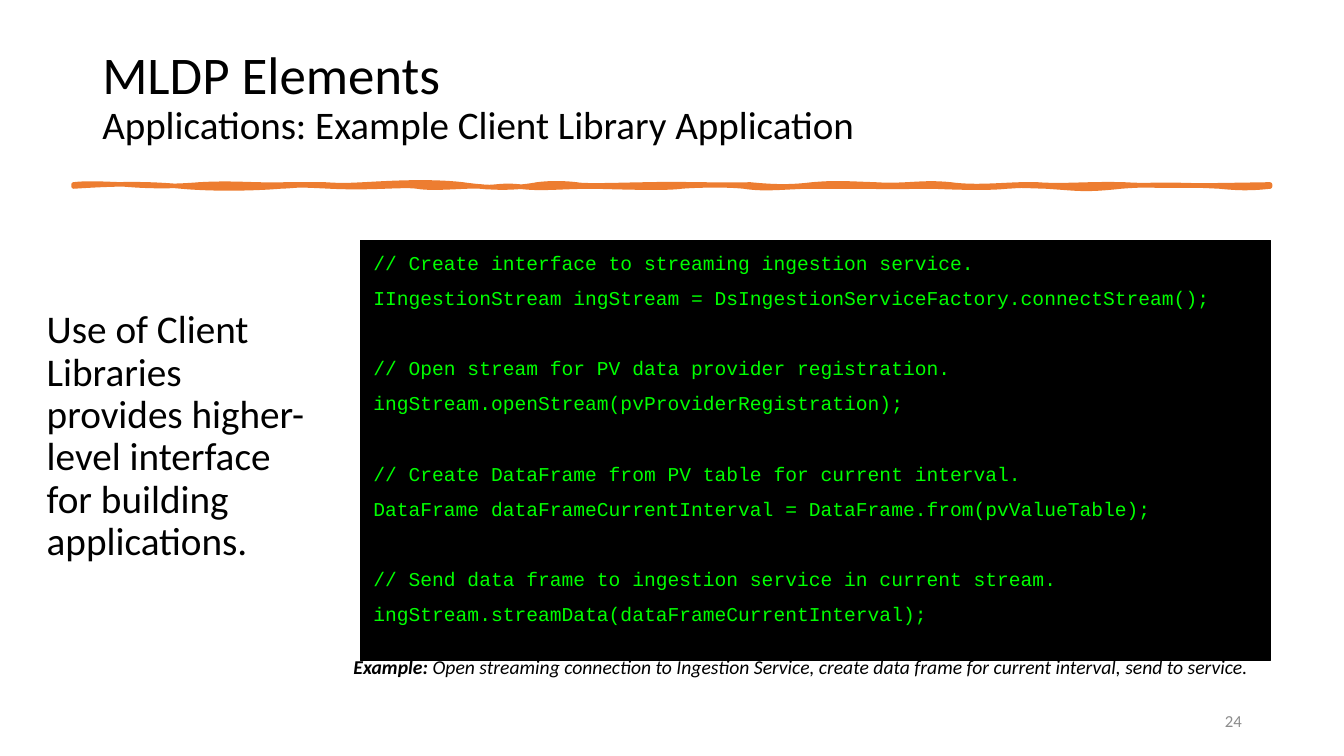
from lxml.etree import SubElement
from pptx import Presentation
from pptx.dml.color import RGBColor
from pptx.enum.shapes import MSO_SHAPE
from pptx.enum.text import MSO_ANCHOR, PP_ALIGN
from pptx.oxml.ns import qn
from pptx.util import Pt

BLACK = RGBColor(0x00, 0x00, 0x00)
GREEN = RGBColor(0x00, 0xFF, 0x00)
ORANGE = RGBColor(0xED, 0x7D, 0x31)
GREY = RGBColor(0x8C, 0x8C, 0x8C)

TITLE = ("MLDP Elements", 37.8)
SUBTITLE = ("Applications: Example Client Library Application", 27.9)
SUMMARY = "Use of Client Libraries provides higher-level interface for building applications."
CODE = [
    ("// Create interface to streaming ingestion service.",
     "IIngestionStream ingStream = DsIngestionServiceFactory.connectStream();"),
    ("// Open stream for PV data provider registration.",
     "ingStream.openStream(pvProviderRegistration);"),
    ("// Create DataFrame from PV table for current interval.",
     "DataFrame dataFrameCurrentInterval = DataFrame.from(pvValueTable);"),
    ("// Send data frame to ingestion service in current stream.",
     "ingStream.streamData(dataFrameCurrentInterval);"),
]
CAPTION = ("Example:", " Open streaming connection to Ingestion Service, "
           "create data frame for current interval, send to service.")
PAGE = "24"

# Brush stroke edges in units of 0.72 pt: control x, y, control x, y, end x.
UNIT = 0.72
LEFT, RIGHT, TOP, BOTTOM = 73, 1260, 183, 185
TOP_EDGE = [
    (89, 181, 111, 183, 124), (136, 184, 162, 186, 198), (234, 181, 251, 184, 284),
    (317, 183, 307, 183, 322), (338, 184, 342, 184, 361), (380, 182, 424, 179, 459),
    (494, 188, 517, 186, 533), (549, 181, 563, 182, 572), (581, 185, 625, 183, 646),
    (667, 182, 723, 184, 744), (765, 185, 782, 186, 806), (830, 181, 838, 182, 868),
    (899, 185, 914, 180, 943), (972, 187, 1002, 182, 1029), (1055, 185, 1078, 182, 1115),
    (1151, 185, 1199, 184, RIGHT),
]
BOTTOM_EDGE = [
    (1242, 187, 1230, 187, 1210), (1190, 184, 1149, 182, 1112), (1075, 189, 1070, 187, 1038),
    (1005, 184, 1018, 184, 999), (980, 187, 948, 186, 925), (902, 185, 884, 186, 863),
    (841, 185, 828, 185, 800), (773, 186, 757, 188, 738), (719, 183, 688, 184, 676),
    (663, 187, 624, 186, 590), (555, 185, 537, 188, 515), (494, 183, 491, 187, 477),
    (463, 184, 430, 188, 414), (399, 183, 371, 187, 328), (286, 183, 303, 184, 278),
    (253, 187, 213, 188, 180), (147, 182, 118, 182, LEFT),
]
INSET = 9.5
CODE_GAP, CODE_LINE = 10, 15


def add_brush_stroke(s):
    """Build the outline from its end points, then bend each side into a curve."""
    corner = (RIGHT, TOP, RIGHT, BOTTOM, RIGHT)
    curves = [(c, TOP) for c in TOP_EDGE] + [(c, BOTTOM) for c in [corner] + BOTTOM_EDGE]
    builder = s.shapes.build_freeform(LEFT, TOP, scale=Pt(UNIT))
    builder.add_line_segments([(c[4], y) for c, y in curves], close=True)
    stroke = builder.convert_to_shape()
    sides = list(stroke.element.iter(qn("a:lnTo")))
    for side, ((x1, y1, x2, y2, end), y) in zip(sides, curves):
        side.tag = qn("a:cubicBezTo")
        for old in list(side):
            side.remove(old)
        for px, py in ((x1, y1), (x2, y2), (end, y)):
            SubElement(side, qn("a:pt"), x=str(px - LEFT), y=str(py - TOP))
    return stroke


def set_frame(shape, inset, anchor=MSO_ANCHOR.TOP):
    tf = shape.text_frame
    tf.word_wrap = True
    tf.vertical_anchor = anchor
    tf.margin_left, tf.margin_top, tf.margin_right, tf.margin_bottom = map(Pt, inset)
    return tf


def add_text(s, box, inset=(INSET,) * 4, anchor=MSO_ANCHOR.TOP):
    return set_frame(s.shapes.add_textbox(*map(Pt, box)), inset, anchor)


def add_run(p, text, size, color=BLACK, font="Calibri", bold=None, italic=None):
    r = p.add_run()
    r.text = text
    r.font.size, r.font.name = Pt(size), font
    r.font.bold, r.font.italic = bold, italic
    r.font.color.rgb = color


def paint(shape, color, width):
    shape.shadow.inherit = False
    shape.fill.solid()
    shape.fill.fore_color.rgb = color
    shape.line.color.rgb = color
    shape.line.width = Pt(width)


def next_paragraph(tf, first=True, spacing=0.9, align=PP_ALIGN.LEFT):
    p = tf.paragraphs[0] if first else tf.add_paragraph()
    p.line_spacing, p.alignment = spacing, align
    return p


prs = Presentation()
prs.slide_width, prs.slide_height = Pt(960), Pt(540)
s = prs.slides.add_slide(prs.slide_layouts[6])

tf = add_text(s, (66, 28.8, 828, 104.4), (7.2, 6.2, 7.2, 3.6))
p = next_paragraph(tf)
add_run(p, *TITLE)
p.add_line_break()
add_run(p, *SUBTITLE)

paint(add_brush_stroke(s), ORANGE, 3.25)

tf = add_text(s, (678.2, 500.4, 216, 28.8), (7.2, 3.6, 7.2, 3.6), MSO_ANCHOR.MIDDLE)
add_run(next_paragraph(tf, spacing=1.0, align=PP_ALIGN.RIGHT), PAGE, 12, GREY)

tf = add_text(s, (23.9, 211.9, 209.5, 219.6))
add_run(next_paragraph(tf), SUMMARY, 28)

panel = s.shapes.add_shape(MSO_SHAPE.RECTANGLE, Pt(257.2), Pt(171.5), Pt(650.2), Pt(300.2))
paint(panel, BLACK, 0.75)
tf = set_frame(panel, (INSET,) * 4)
for b, block in enumerate(CODE):
    for i, line in enumerate(block):
        p = next_paragraph(tf, b == i == 0)
        if i:
            p.space_before = Pt(CODE_GAP)
        elif b:
            p.space_before = Pt(2 * CODE_GAP + CODE_LINE)
        add_run(p, line, 14, GREEN, "Courier New")

tf = add_text(s, (243, 461, 664.9, 49))
p = next_paragraph(tf, spacing=0.95)
label, text = CAPTION
add_run(p, label, 14, bold=True, italic=True)
add_run(p, text, 14, italic=True)

prs.save("out.pptx")
